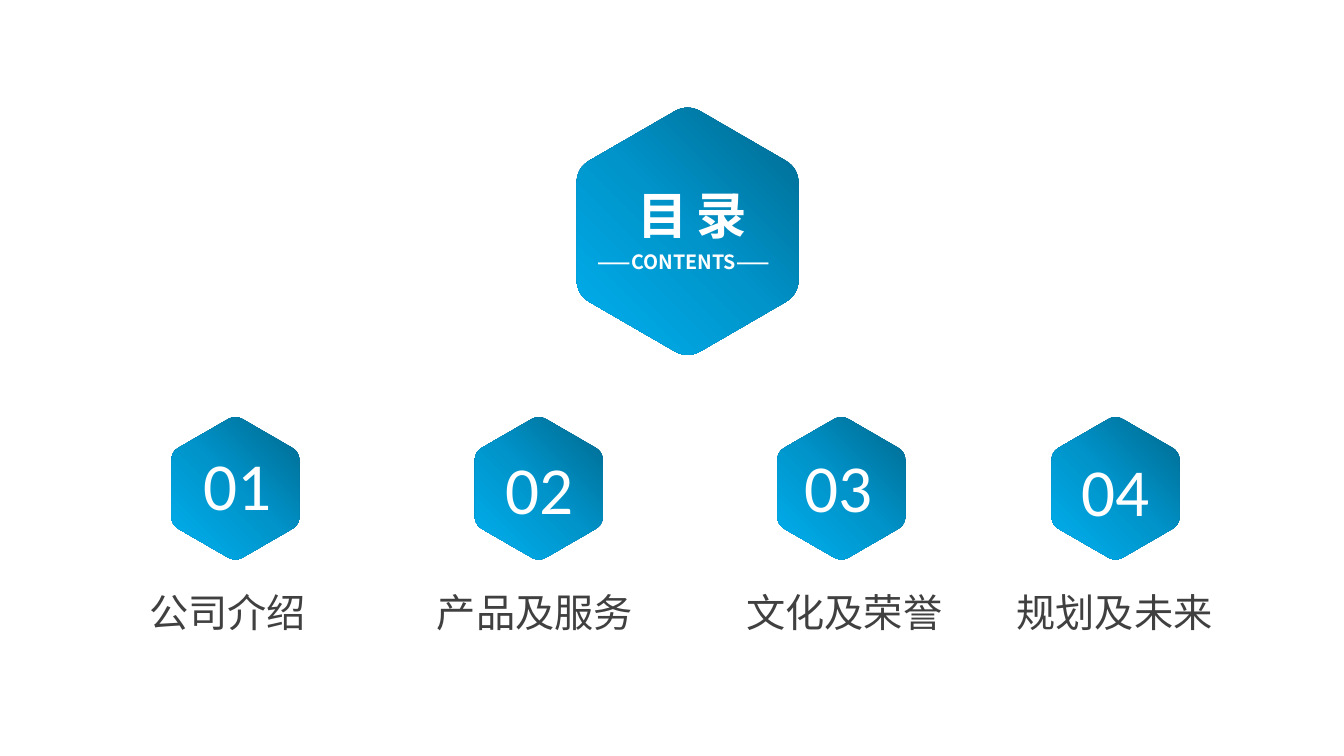
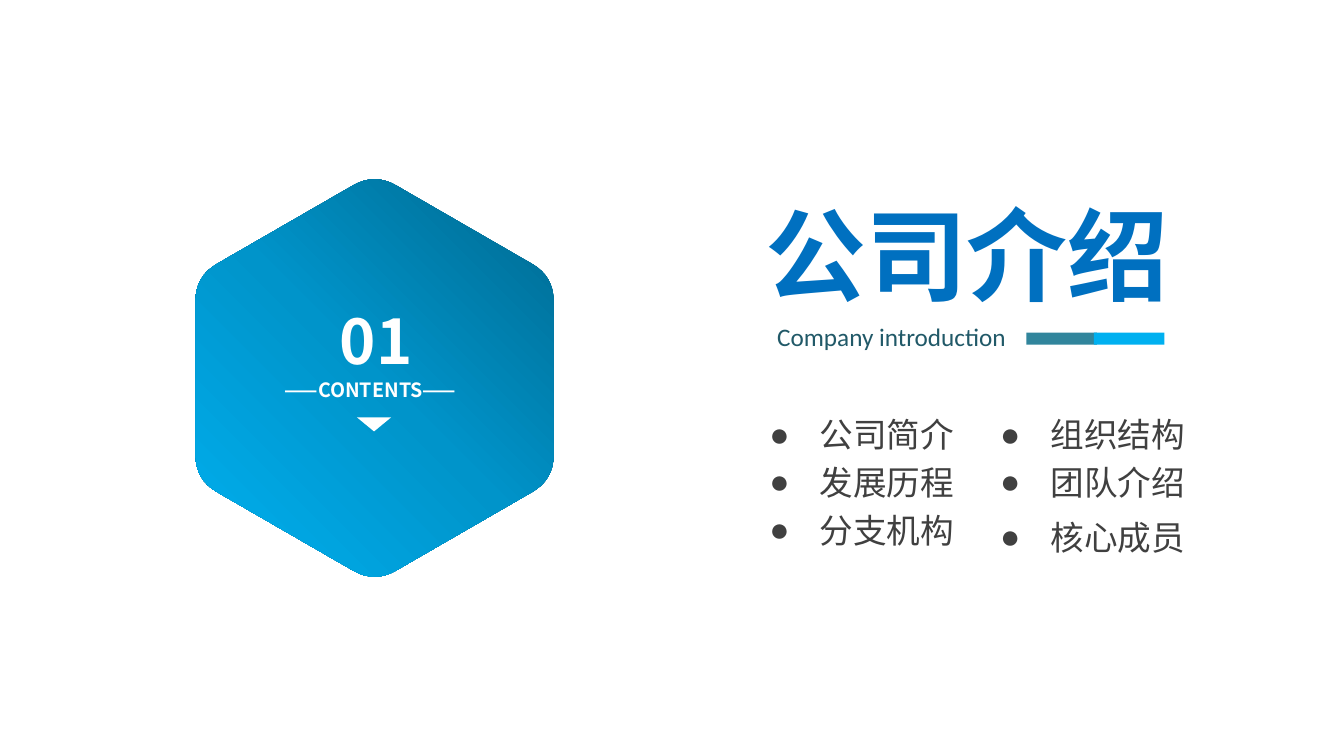
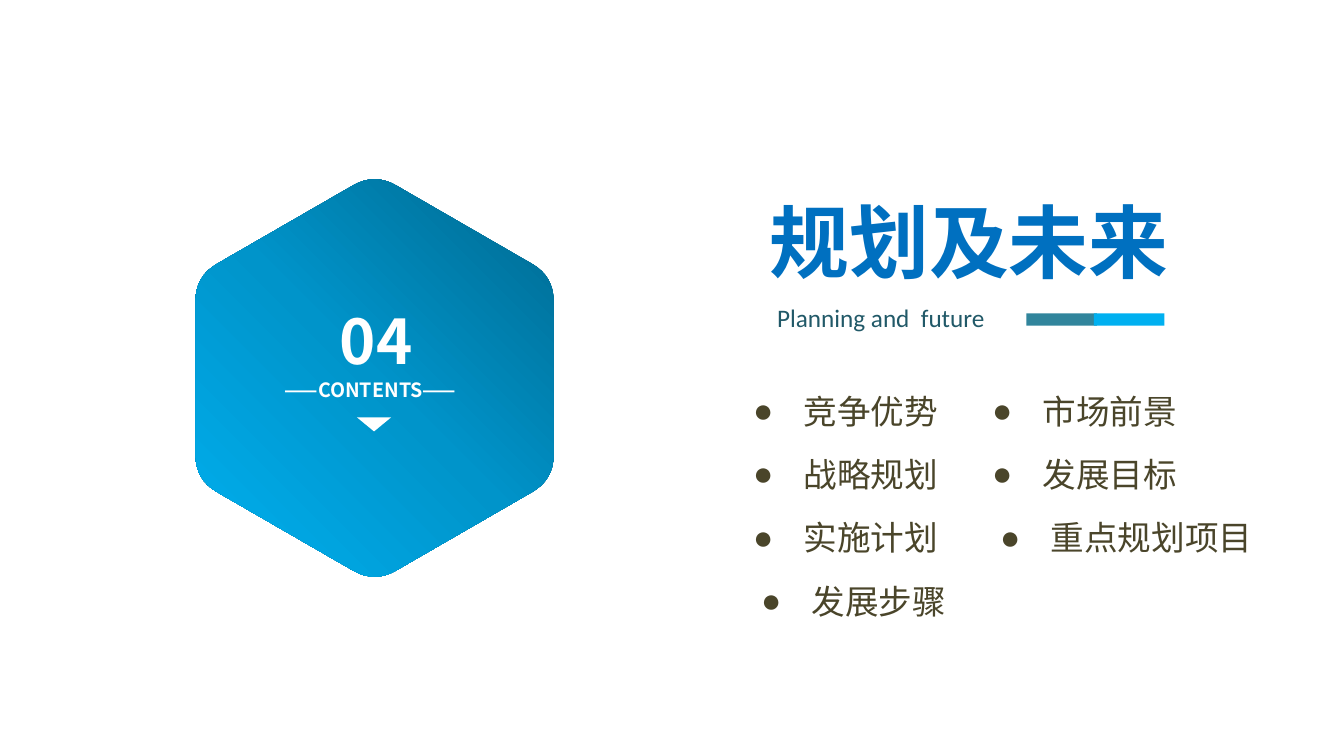
from copy import deepcopy

from lxml import etree
from pptx import Presentation
from pptx.dml.color import RGBColor
from pptx.enum import shapes, text as text_enum
from pptx.oxml.ns import qn
from pptx.util import Inches, Pt

CJK = "Noto Sans CJK SC"
LATIN = "Calibri"
WHITE, GREY, OLIVE = "FFFFFF", "404040", "4A452A"
TITLE_BLUE, TEAL, DARK_TEAL, SKY = "0070C0", "31859C", "215968", "00B0F0"
GRADIENT = ["00688E", "0094CA", SKY]
CENTER = text_enum.PP_ALIGN.CENTER
TOP, MIDDLE = text_enum.MSO_ANCHOR.TOP, text_enum.MSO_ANCHOR.MIDDLE


def color(hex_value):
    return RGBColor.from_string(hex_value)


def write(paragraph, text, size, fill=WHITE, font=CJK, bold=False, align=None, spacing=0):
    """Add one formatted run; size and letter spacing are in points."""
    paragraph.alignment = align
    run = paragraph.add_run()
    run.text = text
    run.font.size, run.font.bold, run.font.name = Pt(size), bold, font
    run.font.color.rgb = color(fill)
    properties = run._r.get_or_add_rPr()
    if spacing:
        properties.set("spc", str(spacing * 100))
    properties.find(qn("a:latin")).addnext(
        properties.makeelement(qn("a:ea"), {"typeface": CJK}))


def place(shape, box, anchor=TOP):
    """Move a text shape to box (left, top, width, height) and set its frame."""
    shape.left, shape.top, shape.width, shape.height = map(Inches, box)
    frame = shape.text_frame
    frame.word_wrap = True
    frame.auto_size = text_enum.MSO_AUTO_SIZE.NONE
    frame.vertical_anchor = anchor
    return frame


def add_text(slide, text, box, size, anchor=TOP, **text_format):
    shape = slide.shapes.add_textbox(0, 0, 0, 0)
    write(place(shape, box, anchor).paragraphs[0], text, size, **text_format)


def set_title(slide, text, box, size, **text_format):
    frame = place(slide.shapes.title, box)
    write(frame.paragraphs[0], text, size, bold=True, align=CENTER, **text_format)


def add_block(slide, kind, box, fill):
    shape = slide.shapes.add_shape(kind, *map(Inches, box))
    shape.shadow.inherit = False
    shape.fill.solid()
    shape.fill.fore_color.rgb = color(fill)
    shape.line.fill.background()
    return shape


def rounded_outline(corners, cut=0.12, steps=8):
    """Points of a polygon whose corners are replaced by quadratic curves."""
    points = []
    for index, (x, y) in enumerate(corners):
        before, after = corners[index - 1], corners[(index + 1) % len(corners)]
        start = (x + (before[0] - x) * cut, y + (before[1] - y) * cut)
        end = (x + (after[0] - x) * cut, y + (after[1] - y) * cut)
        for step in range(steps + 1):
            t = step / steps
            weights = ((1 - t) ** 2, 2 * t * (1 - t), t ** 2)
            points.append(tuple(
                sum(w * p[axis] for w, p in zip(weights, (start, (x, y), end)))
                for axis in (0, 1)))
    return points


def add_hexagon(slide, left, top, width, height):
    """Rounded, upright hexagon with the diagonal gradient."""
    tip, shoulder = -0.016, 0.244
    corners = [(0.5, tip), (1, shoulder), (1, 1 - shoulder),
               (0.5, 1 - tip), (0, 1 - shoulder), (0, shoulder)]
    points = [(Inches(left + x * width), Inches(top + y * height))
              for x, y in rounded_outline(corners)]
    builder = slide.shapes.build_freeform(*points[0])
    builder.add_line_segments(points[1:], close=True)
    hexagon = builder.convert_to_shape()
    hexagon.shadow.inherit = False
    hexagon.line.fill.background()
    hexagon.fill.gradient()
    hexagon.fill.gradient_angle = 225
    stop_list = hexagon._element.spPr.find(".//" + qn("a:gsLst"))
    stop_list.insert(1, deepcopy(stop_list[0]))
    for stop, position, fill in zip(hexagon.fill.gradient_stops, (0, 0.5, 1), GRADIENT):
        stop.position = position
        stop.color.rgb = color(fill)


def add_contents_label(slide, box):
    add_text(slide, "——CONTENTS——", box, 14, bold=True, align=CENTER)


def add_agenda_item(slide, number, label, hexagon_left, number_at, label_at, label_width):
    add_hexagon(slide, hexagon_left, 4.14, 1.27, 1.41)
    add_text(slide, number, (*number_at, 1.42, 0.47), 48, MIDDLE, font=LATIN, align=CENTER)
    add_text(slide, label, (label_at, 5.79, label_width, 0.57), 28, fill=GREY, align=CENTER)


def add_agenda(presentation):
    slide = presentation.slides.add_slide(presentation.slide_layouts[5])
    add_hexagon(slide, 5.72, 1.07, 2.2, 2.45)
    for item in (
        ("01", "公司介绍", 1.7, (1.65, 4.56), 1.37, 1.77),
        ("02", "产品及服务", 4.71, (4.64, 4.6), 4.22, 2.17),
        ("03", "文化及荣誉", 7.71, (7.61, 4.58), 7.29, 2.17),
        ("04", "规划及未来", 10.43, (10.35, 4.62), 9.97, 2.17),
    ):
        add_agenda_item(slide, *item)
    add_contents_label(slide, (4.54, 2.43, 4.48, 0.34))
    set_title(slide, "目录", (5.77, 1.78, 2.19, 0.71), 36, font="Montserrat", spacing=6)
    title = slide.shapes.title.element
    title.getparent().append(title)  # bring the title in front of the hexagon


def add_badge(slide, number, left=1.94, top=1.78):
    """Large hexagon with the section number."""
    add_hexagon(slide, left, top, 3.55, 3.94)
    add_text(slide, number, (left + 1.08, top + 1.18, 1.42, 0.84), 44,
             bold=True, align=CENTER)
    arrow = add_block(slide, shapes.MSO_SHAPE.ISOSCELES_TRIANGLE,
                      (left + 1.6, top + 2.36, 0.34, 0.14), WHITE)
    arrow.rotation = 180
    add_contents_label(slide, (left + 0.63, top + 1.92, 2.21, 0.34))


def add_subtitle(slide, text, top):
    add_text(slide, text, (7.61, top, 2.5, 0.4), 18, fill=DARK_TEAL, font=LATIN)
    for left, fill in ((10.18, TEAL), (10.85, SKY)):
        add_block(slide, shapes.MSO_SHAPE.RECTANGLE, (left, top + 0.16, 0.7, 0.12), fill)


def fill_list(placeholder, left, top, width, items, gap, fill):
    """Bulleted list; each item is (text, extra indent in inches, extra gap in points)."""
    frame = place(placeholder, (left, top, width, 0.75 * len(items)))
    for index, (text, shift, extra_gap) in enumerate(items):
        paragraph = frame.paragraphs[0] if index == 0 else frame.add_paragraph()
        properties = paragraph._p.get_or_add_pPr()
        properties.set("marL", str(Inches(0.5 + shift)))
        properties.set("indent", str(Inches(-0.5)))
        etree.SubElement(properties, qn("a:buFont"), typeface="Arial")
        etree.SubElement(properties, qn("a:buChar"), char="●")
        paragraph.space_before = Pt(gap + extra_gap if index else 0)
        write(paragraph, text, 24, fill=fill)


def add_section(presentation, number, title, title_left, title_size,
                subtitle, subtitle_top, columns, list_top, gap, fill):
    slide = presentation.slides.add_slide(presentation.slide_layouts[3])
    add_badge(slide, number)
    set_title(slide, title, (title_left, 1.86, 4.58, 1.31), title_size, fill=TITLE_BLUE)
    add_subtitle(slide, subtitle, subtitle_top)
    for index, (left, width, items) in enumerate(columns, start=1):
        fill_list(slide.placeholders[index], left, list_top, width, items, gap, fill)


def main():
    presentation = Presentation()
    presentation.slide_width, presentation.slide_height = Inches(13.33), Inches(7.5)
    add_agenda(presentation)
    add_section(
        presentation, "01", "公司介绍", 7.3, 72, "Company introduction", 3.14,
        [(7.53, 2.2, [("公司简介", 0, 0), ("发展历程", 0, 0), ("分支机构", 0, 0)]),
         (9.82, 2.36, [("组织结构", 0, 0), ("团队介绍", 0, 0), ("核心成员", 0, 5.4)])],
        list_top=4.06, gap=5.2, fill=GREY)
    add_section(
        presentation, "04", "规划及未来", 7.32, 57, "Planning and  future", 2.95,
        [(7.37, 2.36, [("竞争优势", 0, 0), ("战略规划", 0, 0),
                       ("实施计划", 0, 0), ("发展步骤", 0.08, 0)]),
         (9.74, 3.07, [("市场前景", 0, 0), ("发展目标", 0, 0), ("重点规划项目", 0.08, 0)])],
        list_top=3.83, gap=16.3, fill=OLIVE)
    presentation.save("out.pptx")


if __name__ == "__main__":
    main()
